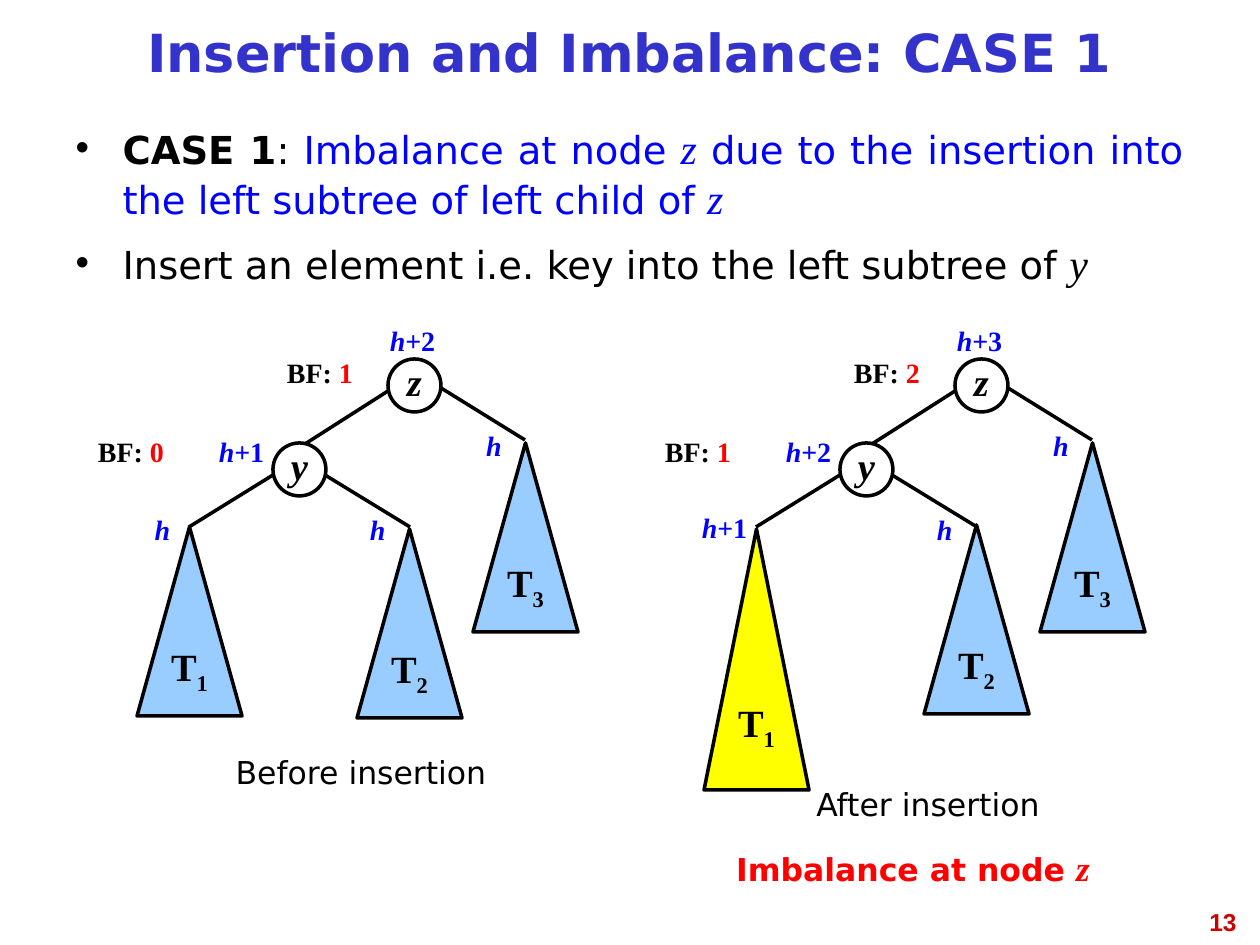
import pptx
import pptx.dml.color
import pptx.enum.shapes
import pptx.enum.text
import pptx.oxml
import pptx.oxml.ns
import pptx.util

RGB = pptx.dml.color.RGBColor
SHAPE = pptx.enum.shapes.MSO_SHAPE
ALIGN = pptx.enum.text.PP_ALIGN
ANCHOR = pptx.enum.text.MSO_ANCHOR
Pt = pptx.util.Pt

BLACK = RGB(0x00, 0x00, 0x00)
BLUE = RGB(0x00, 0x00, 0xFF)
RED = RGB(0xFF, 0x00, 0x00)
INDIGO = RGB(0x33, 0x33, 0xCC)
CRIMSON = RGB(0xCC, 0x00, 0x00)
SKY = RGB(0x99, 0xCC, 0xFF)
YELLOW = RGB(0xFF, 0xFF, 0x00)

SANS = dict(name="DejaVu Sans", size=Pt(22), color=BLACK, bold=False, italic=False)
SERIF = dict(SANS, name="Times New Roman")
TITLE = dict(SANS, size=Pt(30), color=INDIGO, bold=True)
BODY_BLUE = dict(SANS, color=BLUE)
VARIABLE = dict(SERIF, size=Pt(24), italic=True)
NODE = dict(SERIF, bold=True, italic=True)
SUBTREE = dict(SERIF, bold=True)
LABEL = dict(SUBTREE, size=Pt(16))
HEIGHT = dict(LABEL, color=BLUE)
CAPTION = dict(SANS, size=Pt(18))
WARNING = dict(CAPTION, color=RED, bold=True)
PAGE = dict(SANS, name="Arial", size=Pt(14), color=CRIMSON, bold=True)

NODE_SIZE = 53
SUBTREE_WIDTH = 105
SUBTREE_HEIGHT = 189
TREE_SHIFT = 567


def px(*lengths):
    """Turn pixels (126 to the inch) into EMU."""
    return [round(n * 914400 / 126) for n in lengths]


def write(p, runs, align=ALIGN.CENTER, **spacing):
    for key, value in dict(spacing, alignment=align).items():
        setattr(p, key, value)
    for text, style in runs:
        r = p.add_run()
        r.text = text
        for key, value in style.items():
            if key == "color":
                r.font.color.rgb = value
            else:
                setattr(r.font, key, value)


def add_text(s, box, runs, align=ALIGN.CENTER):
    tf = s.shapes.add_textbox(*px(*box)).text_frame
    tf.word_wrap = True
    write(tf.paragraphs[0], runs, align)


def place(sp, box, anchor):
    """Move a placeholder and fix its text frame."""
    sp.left, sp.top, sp.width, sp.height = px(*box)
    tf = sp.text_frame
    tf.auto_size = pptx.enum.text.MSO_AUTO_SIZE.NONE
    tf.vertical_anchor = anchor
    return tf


def add_bullet(p):
    pPr = p._p.get_or_add_pPr()
    indent, = px(47)
    pPr.set("marL", str(indent))
    pPr.set("indent", str(-indent))
    ns = pptx.oxml.ns.nsdecls("a")
    for xml in (f'<a:buClr {ns}><a:srgbClr val="{BLACK}"/></a:buClr>',
                f'<a:buFont {ns} typeface="Arial"/>',
                f'<a:buChar {ns} char="•"/>'):
        pPr.append(pptx.oxml.parse_xml(xml))


def add_edge(s, *ends):
    line = s.shapes.add_connector(pptx.enum.shapes.MSO_CONNECTOR.STRAIGHT, *px(*ends))
    line.line.color.rgb = BLACK
    line.line.width = Pt(2)
    pptx.oxml.ns.qn("a:effectLst")
    line._element.spPr.append(
        pptx.oxml.parse_xml(f'<a:effectLst {pptx.oxml.ns.nsdecls("a")}/>'))


def add_outlined(s, kind, box, runs, fill=None):
    sp = s.shapes.add_shape(kind, *px(*box))
    sp.shadow.inherit = False
    if fill is None:
        sp.fill.background()
    else:
        sp.fill.solid()
        sp.fill.fore_color.rgb = fill
    sp.line.color.rgb = BLACK
    sp.line.width = Pt(2)
    tf = sp.text_frame
    tf.word_wrap = False
    tf.vertical_anchor = ANCHOR.MIDDLE
    write(tf.paragraphs[0], runs, line_spacing=0.81)
    return sp


def add_subtree(s, number, x, y, height=SUBTREE_HEIGHT, fill=SKY):
    sp = add_outlined(s, SHAPE.ISOSCELES_TRIANGLE, (x, y, SUBTREE_WIDTH, height),
                      [("T", SUBTREE), (number, SUBTREE)], fill)
    subscript = sp.text_frame.paragraphs[0].runs[1]
    subscript._r.get_or_add_rPr().set("baseline", "-25000")


def add_height(s, x, y, width, plus=""):
    runs = [("h", dict(HEIGHT, italic=True))]
    if plus:
        runs.append((plus, HEIGHT))
    add_text(s, (x, y, width, 47), runs)


def add_balance(s, x, y, factor):
    add_text(s, (x, y, 136, 47), [("BF: ", LABEL), (factor, dict(LABEL, color=RED))])


def add_tree(s, dx, balances, heights, t1, t2_top):
    """Draw z over y and T3, with T1 and T2 under y, moved right by dx."""
    for x1, y1, x2, y2 in ((441, 388, 525, 440), (305, 444, 388, 391),
                           (325, 475, 410, 527), (189, 527, 273, 475)):
        add_edge(s, dx + x1, y1, dx + x2, y2)
    for name, x, y in (("z", 388, 359), ("y", 273, 443)):
        add_outlined(s, SHAPE.OVAL, (dx + x, y, NODE_SIZE, NODE_SIZE), [(name, NODE)])
    add_subtree(s, "1", dx + 137, *t1)
    add_subtree(s, "2", dx + 357, t2_top)
    add_subtree(s, "3", dx + 473, 443)
    for (x, y), factor in zip(((252, 349), (63, 428)), balances):
        add_balance(s, dx + x, y, factor)
    for (x, y), plus in zip(((360, 317), (189, 428)), heights):
        add_height(s, dx + x, y, SUBTREE_WIDTH, plus)
    add_height(s, dx + 325, 506, SUBTREE_WIDTH)
    add_height(s, dx + 431, 422, 126)


def main():
    prs = pptx.Presentation()
    prs.slide_width, prs.slide_height = px(1260, 945)
    s = prs.slides.add_slide(prs.slide_layouts[1])

    tf = place(s.shapes.title, (63, 10, 1133, 95), ANCHOR.MIDDLE)
    write(tf.paragraphs[0], [("Insertion and Imbalance: CASE 1", TITLE)], line_spacing=0.81)

    tf = place(s.placeholders[1], (63, 116, 1133, 210), ANCHOR.TOP)
    z = ("z", dict(VARIABLE, color=BLUE))
    write(tf.paragraphs[0],
          [("CASE 1", dict(SANS, bold=True)), (": ", SANS),
           ("Imbalance at node ", BODY_BLUE), z,
           (" due to the insertion into the left subtree of left child of ", BODY_BLUE), z],
          ALIGN.JUSTIFY, space_before=Pt(0))
    write(tf.add_paragraph(),
          [("Insert an element i.e. key into the left subtree of ", SANS), ("y", VARIABLE)],
          ALIGN.JUSTIFY, space_before=Pt(8))
    for p in tf.paragraphs:
        add_bullet(p)

    add_tree(s, 0, ("1", "0"), ("+2", "+1"), (527, SUBTREE_HEIGHT), 529)
    add_height(s, 126, 506, 73)
    add_text(s, (176, 747, 370, 50), [("Before insertion", CAPTION)])

    add_tree(s, TREE_SHIFT, ("2", "1"), ("+3", "+2"), (529, 261, YELLOW), 525)
    add_height(s, 672, 504, SUBTREE_WIDTH, "+1")
    add_text(s, (743, 779, 370, 50), [("After insertion", CAPTION)])
    add_text(s, (649, 840, 528, 55),
             [("Imbalance at node ", WARNING),
              ("z", dict(VARIABLE, size=Pt(20), color=RED, bold=True))])
    add_text(s, (955, 901, 294, 44), [("13", PAGE)], ALIGN.RIGHT)
    prs.save("out.pptx")


if __name__ == "__main__":
    main()
